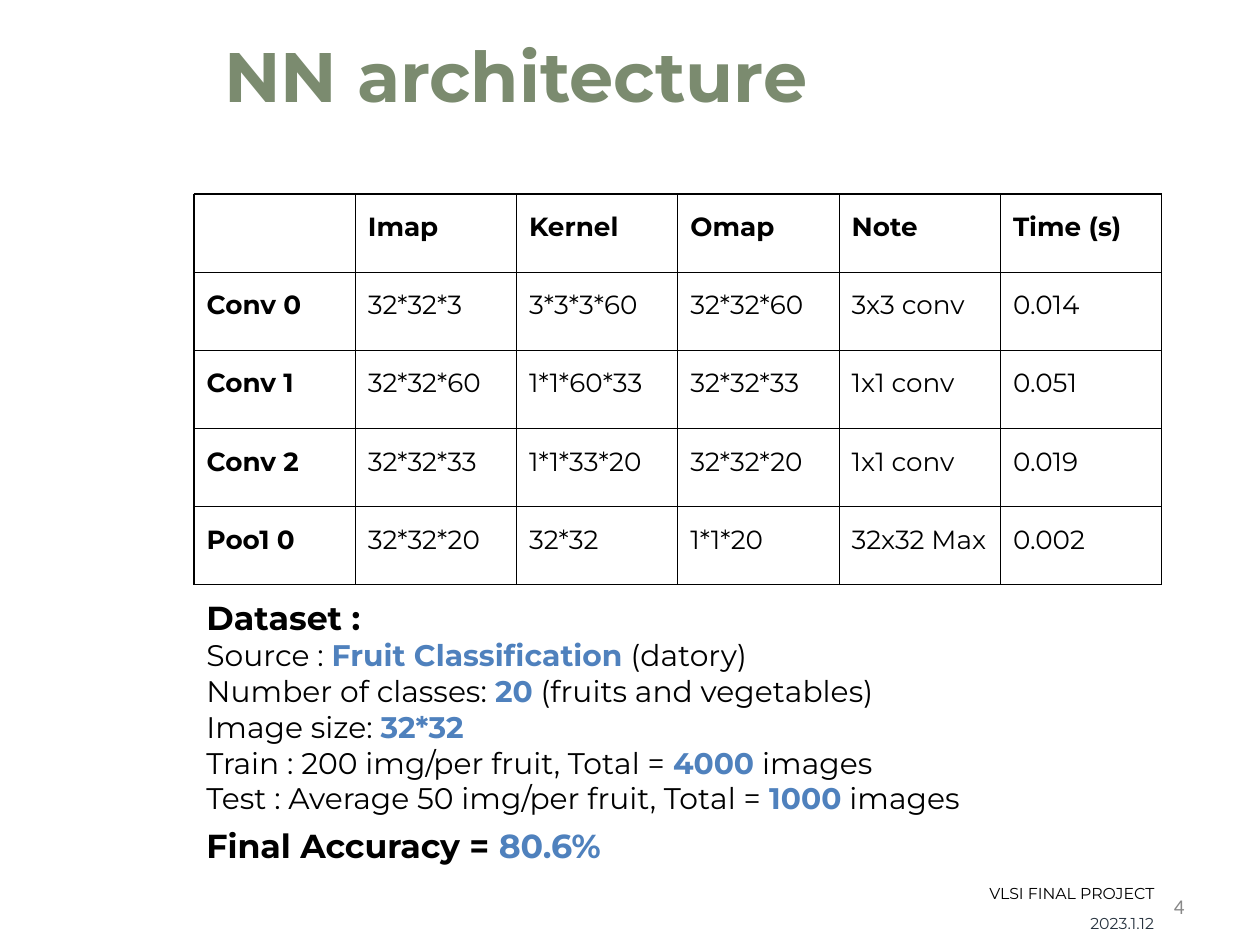
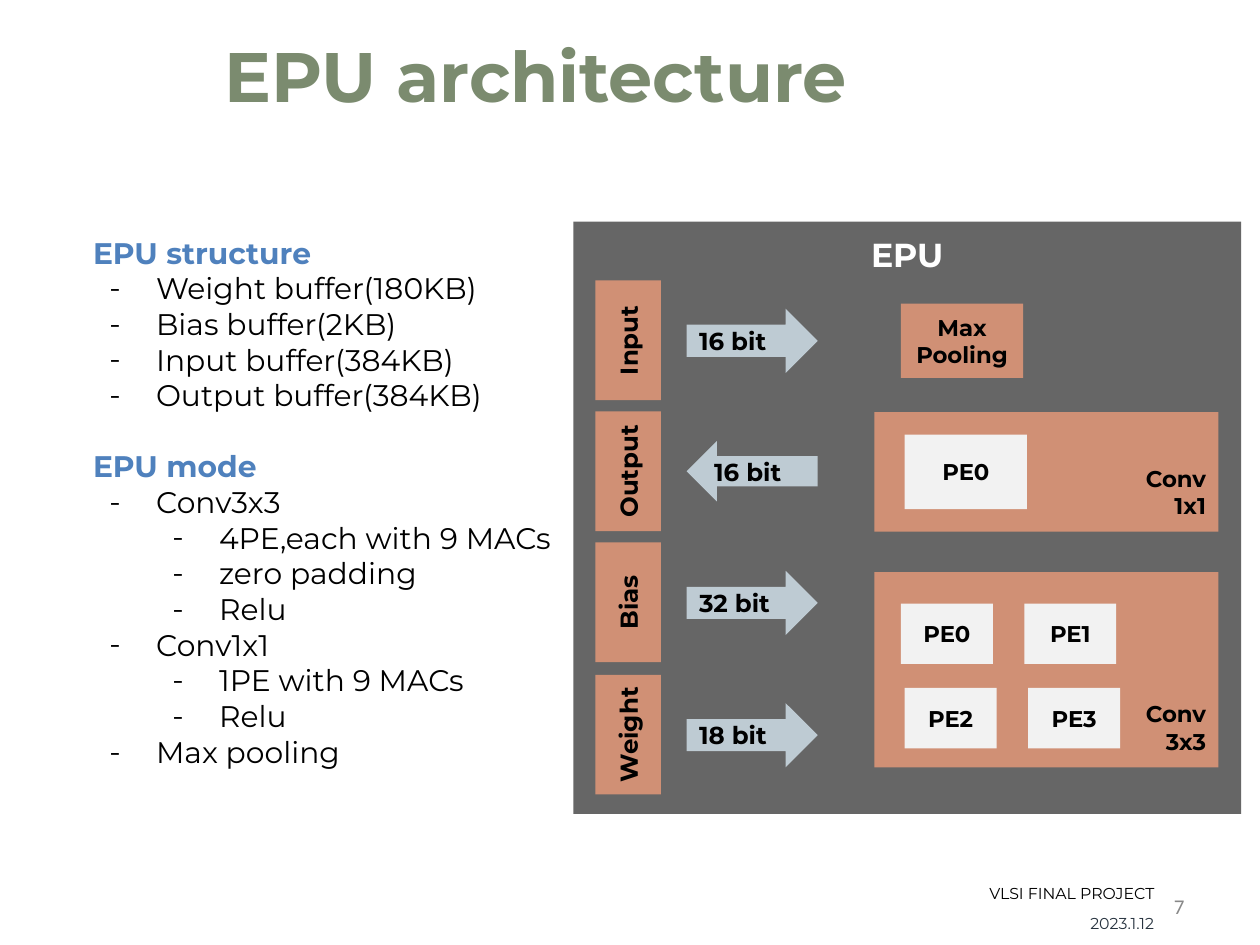
"""Build two slides on a neural network and its EPU accelerator."""
from dataclasses import dataclass

from lxml.etree import SubElement
from pptx import Presentation
from pptx.dml.color import RGBColor
from pptx.enum.shapes import MSO_SHAPE as Shape
from pptx.enum.text import MSO_ANCHOR as Anchor, MSO_AUTO_SIZE as AutoSize, PP_ALIGN as Align
from pptx.oxml.ns import qn
from pptx.util import Pt


@dataclass(frozen=True)
class Theme:
    font: str = "Montserrat"
    number_font: str = "Calibri"
    sage: str = "7B8B6F"
    blue: str = "4F81BD"
    black: str = "000000"
    white: str = "FFFFFF"
    panel: str = "666666"
    clay: str = "D09075"
    mist: str = "BECBD3"
    pale: str = "F2F2F2"
    grey: str = "888888"
    navy: str = "283440"
    title: int = 40
    heading: int = 19
    body: int = 17
    cell: int = 15
    label: int = 14
    unit: int = 13
    number: int = 12
    footer: int = 9


theme = Theme()
PX = 9144


def write(frame, text, size=theme.body, color=theme.black, bold=False, font=theme.font,
          align=Align.LEFT, anchor=Anchor.TOP, inset=(10, 10), spacing=1.0, before=0, dash=None):
    """Add one paragraph per line; parts between bars are bold and blue."""
    frame.word_wrap = True
    frame.auto_size = AutoSize.NONE
    frame.vertical_anchor = anchor
    frame.margin_left = frame.margin_right = inset[0] * PX
    frame.margin_top = frame.margin_bottom = inset[1] * PX
    for line in text.split("\n"):
        para = frame.paragraphs[-1]
        if para.runs:
            para = frame.add_paragraph()
        para.alignment = align
        para.line_spacing = spacing
        para.space_before = Pt(before)
        if dash is not None:
            para.level = dash
            props = para._p.get_or_add_pPr()
            props.set("marL", str(50 * (dash + 1) * PX))
            props.set("indent", str(-37 * PX))
            SubElement(SubElement(props, qn("a:buClr")), qn("a:srgbClr"), val=theme.black)
            SubElement(props, qn("a:buFont"), typeface=theme.font)
            SubElement(props, qn("a:buChar"), char="-")
        for index, part in enumerate(line.split("|")):
            if part:
                accent = index % 2 == 1
                span = para.add_run()
                span.text = part
                span.font.name = font
                span.font.size = Pt(size)
                span.font.bold = bold or accent
                span.font.color.rgb = RGBColor.from_string(theme.blue if accent else color)


def place(page, bounds, text="", kind=None, fill=None, turn=0, **style):
    """Add a text box, or a filled shape when a kind is given."""
    spot = [value * PX for value in bounds]
    if kind is None:
        box = page.shapes.add_textbox(*spot)
    else:
        box = page.shapes.add_shape(kind, *spot)
        box.shadow.inherit = False
        box.fill.solid()
        box.fill.fore_color.rgb = RGBColor.from_string(fill)
        box.line.fill.background()
        box.rotation = turn
    if text:
        write(box.text_frame, text, **style)
    return box


deck = Presentation()
deck.slide_width, deck.slide_height = 1000 * PX, 750 * PX
pages = []
for heading, width, number in (("NN architecture", 513, "4"), ("EPU architecture", 586, "7")):
    page = deck.slides.add_slide(deck.slide_layouts[5])
    pages.append(page)
    title = page.shapes.title
    title.left, title.top, title.width, title.height = 168 * PX, 21 * PX, width * PX, 77 * PX
    write(title.text_frame, heading, size=theme.title, color=theme.sage, bold=True, inset=(10, 5))
    place(page, (717, 703, 233, 32), number, size=theme.number, color=theme.grey,
          font=theme.number_font, align=Align.RIGHT, anchor=Anchor.MIDDLE, inset=(10, 5))
    place(page, (764, 697, 159, 23), "VLSI FINAL PROJECT", size=theme.footer,
          align=Align.RIGHT, inset=(7, 4))
    place(page, (811, 708, 112, 38), "2023.1.12", size=theme.footer, color=theme.navy,
          align=Align.RIGHT, anchor=Anchor.MIDDLE, inset=(7, 4), spacing=1.78)
network, accelerator = pages

layers = (
    ("", "Imap", "Kernel", "Omap", "Note", "Time (s)"),
    ("Conv 0", "32*32*3", "3*3*3*60", "32*32*60", "3x3 conv", "0.014"),
    ("Conv 1", "32*32*60", "1*1*60*33", "32*32*33", "1x1 conv", "0.051"),
    ("Conv 2", "32*32*33", "1*1*33*20", "32*32*20", "1x1 conv", "0.019"),
    ("Poo1 0", "32*32*20", "32*32", "1*1*20", "32x32 Max", "0.002"),
)
holder = network.shapes.add_table(5, 6, 154 * PX, 154 * PX, 768 * PX, 310 * PX)
table = holder.table
table.first_row = table.horz_banding = False
for row, layer in enumerate(layers):
    for column, value in enumerate(layer):
        cell = table.cell(row, column)
        props = cell._tc.get_or_add_tcPr()
        for side in ("lnL", "lnR", "lnT", "lnB"):
            border = SubElement(props, qn(f"a:{side}"), w=str(Pt(0.75)))
            paint = SubElement(border, qn("a:solidFill"))
            SubElement(paint, qn("a:srgbClr"), val=theme.black)
        cell.fill.background()
        cell.margin_left = cell.margin_right = cell.margin_top = cell.margin_bottom = 10 * PX
        write(cell.text_frame, value, size=theme.cell, bold=row == 0 or column == 0, spacing=1.15)

dataset = place(network, (154, 464, 657, 195), "Dataset :", size=theme.heading, bold=True)
write(dataset.text_frame, "Source : |Fruit Classification| (datory)\n"
      "Number of classes: |20| (fruits and vegetables)\n"
      "Image size: |32*32|\n"
      "Train : 200 img/per fruit, Total = |4000| images\n"
      "Test : Average 50 img/per fruit, Total = |1000| images")
place(network, (154, 645, 574, 52), "Final Accuracy = |80.6%|", size=theme.heading, bold=True)

place(accelerator, (455, 176, 530, 470), "EPU", Shape.RECTANGLE, theme.panel,
      size=theme.heading, color=theme.white, bold=True, align=Align.CENTER)

buffers = (
    ("Input", "16 bit", Shape.RIGHT_ARROW, 51),
    ("Output", "16 bit", Shape.LEFT_ARROW, 48),
    ("Bias", "32 bit", Shape.RIGHT_ARROW, 51),
    ("Weight", "18 bit", Shape.RIGHT_ARROW, 51),
)
label_style = dict(size=theme.label, bold=True, anchor=Anchor.MIDDLE)
for index, (name, width, arrow, height) in enumerate(buffers):
    top = 244 + 313 * index // 3
    place(accelerator, (451, top, 95, 52), name, Shape.RECTANGLE, theme.clay, turn=270,
          align=Align.CENTER, inset=(4, 10), **label_style)
    place(accelerator, (545, top + 26 - height // 2, 104, height), width, arrow, theme.mist,
          **label_style)

unit_style = dict(kind=Shape.RECTANGLE, size=theme.unit, bold=True)
middle = dict(align=Align.CENTER, anchor=Anchor.MIDDLE, **unit_style)
corner = dict(align=Align.RIGHT, anchor=Anchor.BOTTOM, **unit_style)
place(accelerator, (715, 241, 97, 59), "Max\nPooling", fill=theme.clay, **middle)
place(accelerator, (694, 327, 273, 95), "Conv\n1x1", fill=theme.clay, **corner)
place(accelerator, (718, 345, 97, 59), "PE0", fill=theme.pale, **middle)
place(accelerator, (694, 454, 273, 155), "Conv\n3x3", fill=theme.clay, **corner)
for index in range(4):
    row, column = divmod(index, 2)
    place(accelerator, (715 + 3 * row + 98 * column, 479 + 67 * row, 73, 48), f"PE{index}",
          fill=theme.pale, **middle)

outline = place(accelerator, (64, 176, 410, 520))
sections = (
    ("|EPU structure|", None, 0),
    ("Weight buffer(180KB)\nBias buffer(2KB)\nInput buffer(384KB)\nOutput buffer(384KB)", 0, 0),
    ("|EPU mode|", None, 20),
    ("Conv3x3", 0, 0),
    ("4PE,each with 9 MACs\nzero padding\nRelu", 1, 0),
    ("Conv1x1", 0, 0),
    ("1PE with 9 MACs\nRelu", 1, 0),
    ("Max pooling", 0, 0),
)
for text, dash, before in sections:
    write(outline.text_frame, text, dash=dash, before=before)

deck.save("out.pptx")
